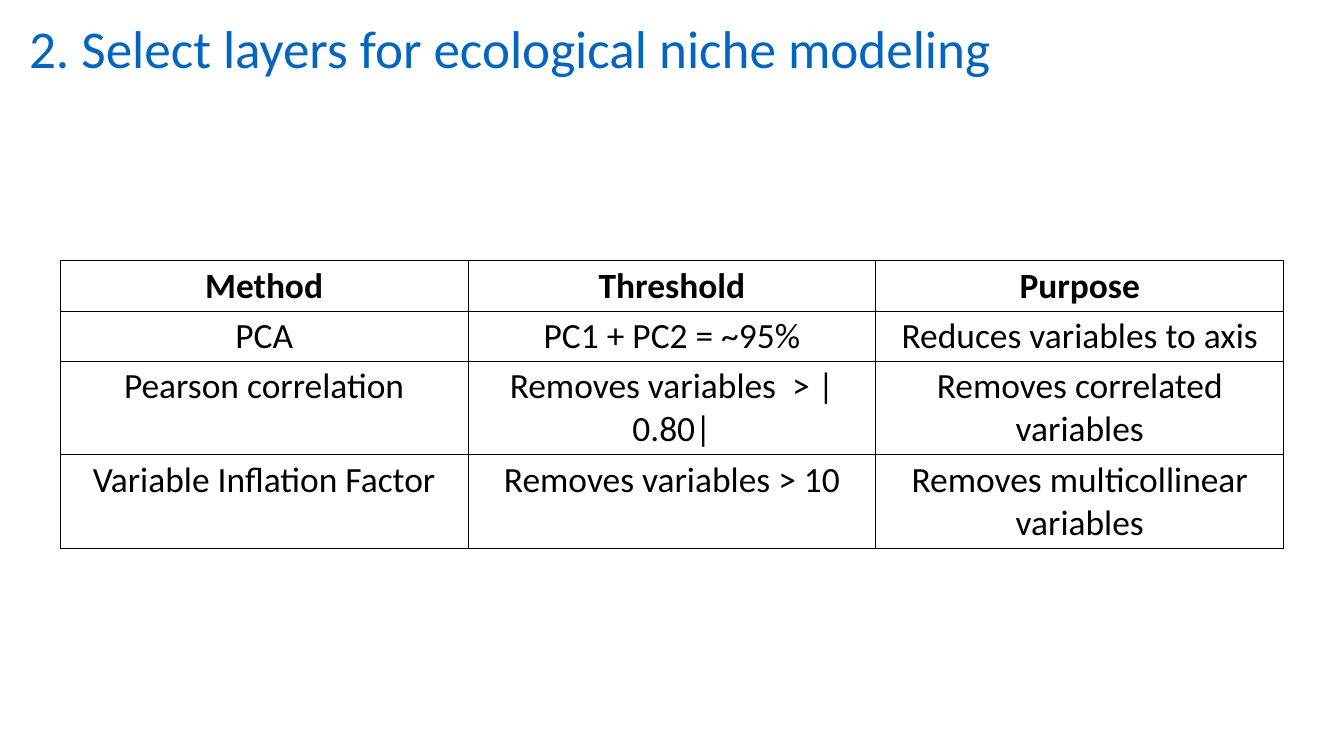
from lxml import etree
from pptx import Presentation
from pptx import util as u
from pptx.dml import color
from pptx.enum import text
from pptx.oxml import ns

WIDTH, HEIGHT = 18.96, 10.67
FONT, BLACK, BLUE = "Calibri", "000000", "0365C0"
LINE_HEIGHT, CELL_PADDING = 0.61, 0.1

TITLE = "2. Select layers for ecological niche modeling"
METHODS = [
    ("Method", "Threshold", "Purpose"),
    ("PCA", "PC1 + PC2 = ~95%", "Reduces variables to axis"),
    ("Pearson correlation", "Removes variables  > |0.80|", "Removes correlated variables"),
    ("Variable Inflation Factor", "Removes variables > 10", "Removes multicollinear variables"),
]
LINES_PER_ROW = (1, 1, 2, 2)


def style(paragraph, size, hex_color, bold=False):
    """Centre a paragraph and set its font."""
    paragraph.alignment = text.PP_ALIGN.CENTER
    font = paragraph.font
    font.name, font.size, font.bold = FONT, u.Pt(size), bold
    font.color.rgb = color.RGBColor.from_string(hex_color)


def add_borders(cell, hex_color, points):
    """Draw a solid line on all four sides of a cell."""
    properties = cell._tc.get_or_add_tcPr()
    for side in ("lnL", "lnR", "lnT", "lnB"):
        border = etree.SubElement(properties, ns.qn(f"a:{side}"), w=str(u.Pt(points)))
        fill = etree.SubElement(border, ns.qn("a:solidFill"))
        etree.SubElement(fill, ns.qn("a:srgbClr"), val=hex_color)


def place_heading(slide, left, top, width, height):
    """Put the heading in the title placeholder."""
    heading = slide.shapes.title
    heading.left, heading.top = u.Inches(left), u.Inches(top)
    heading.width, heading.height = u.Inches(width), u.Inches(height)
    frame = heading.text_frame
    frame.text = TITLE
    frame.word_wrap = False
    frame.auto_size = text.MSO_AUTO_SIZE.SHAPE_TO_FIT_TEXT
    frame.vertical_anchor = text.MSO_ANCHOR.MIDDLE
    frame.margin_left = frame.margin_right = u.Inches(0.06)
    frame.margin_top = frame.margin_bottom = u.Inches(0.06)
    style(frame.paragraphs[0], 54, BLUE)


def place_methods(slide, left, top, width, height):
    """Add the table of selection methods with equal columns."""
    methods = slide.shapes.add_table(
        len(METHODS), len(METHODS[0]),
        u.Inches(left), u.Inches(top), u.Inches(width), u.Inches(height),
    ).table
    methods.first_row = methods.horz_banding = False
    for row, lines in zip(methods.rows, LINES_PER_ROW):
        row.height = u.Inches(lines * LINE_HEIGHT + CELL_PADDING)
    for r, entries in enumerate(METHODS):
        for c, entry in enumerate(entries):
            cell = methods.cell(r, c)
            cell.text = entry
            add_borders(cell, BLACK, 1)
            cell.fill.background()
            style(cell.text_frame.paragraphs[0], 36, BLACK, bold=r == 0)


def main():
    """Build and save the slide."""
    deck = Presentation()
    deck.slide_width, deck.slide_height = u.Inches(WIDTH), u.Inches(HEIGHT)
    slide = deck.slides.add_slide(deck.slide_layouts[5])
    place_methods(slide, 0.85, 3.68, WIDTH - 2 * 0.85, 4)
    place_heading(slide, 0.25, 0.15, 13.89, 1.02)
    deck.save("out.pptx")


if __name__ == "__main__":
    main()
